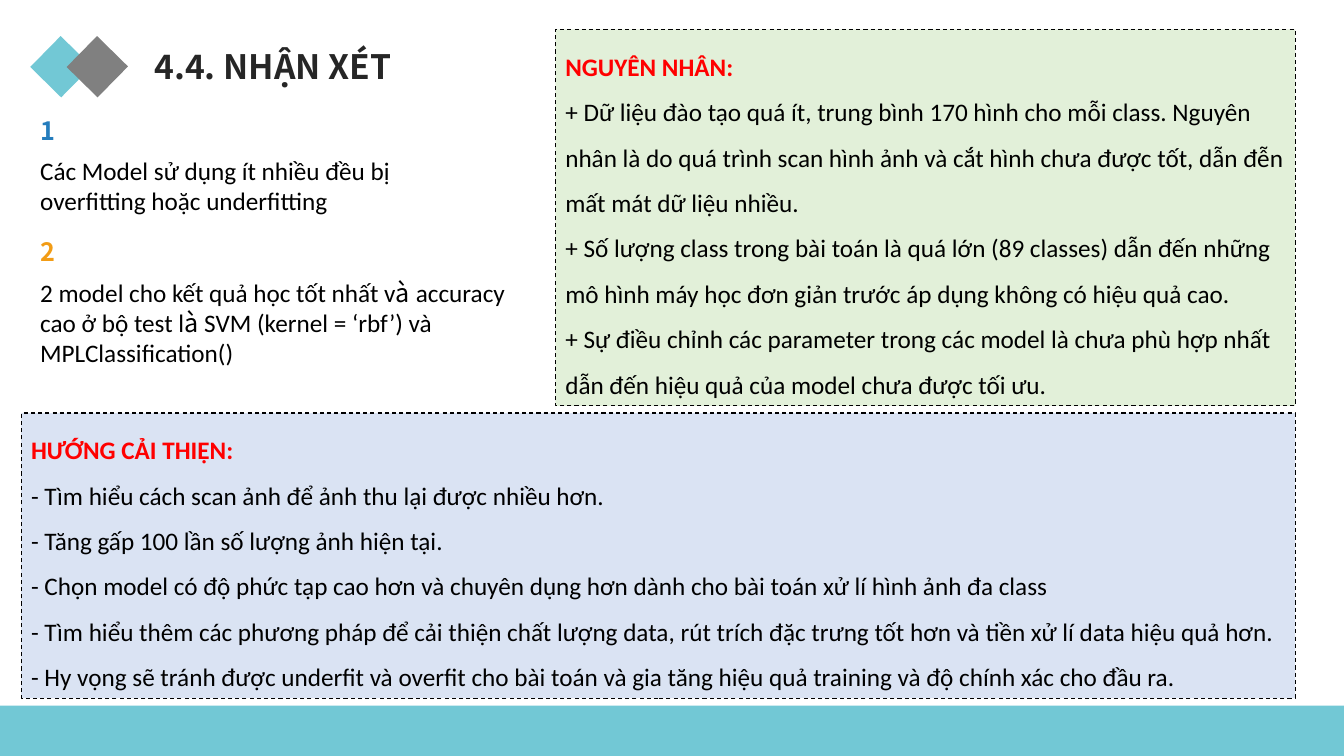
"""Build the remarks slide with its findings, causes and improvements."""
from dataclasses import dataclass

from pptx import Presentation
from pptx.dml.color import RGBColor
from pptx.enum.dml import MSO_LINE
from pptx.enum.shapes import MSO_SHAPE
from pptx.enum.text import MSO_ANCHOR, MSO_AUTO_SIZE, PP_ALIGN
from pptx.shapes.autoshape import Shape
from pptx.slide import Slide
from pptx.text.text import TextFrame
from pptx.util import Pt

RECTANGLE = MSO_SHAPE.RECTANGLE
DASH = MSO_LINE.DASH
TOP, MIDDLE = MSO_ANCHOR.TOP, MSO_ANCHOR.MIDDLE
NO_AUTOFIT = MSO_AUTO_SIZE.NONE
LEFT = PP_ALIGN.LEFT
TITLE_ONLY = 5


@dataclass(frozen=True)
class Theme:
    """Colours, fonts and type sizes of the slide."""
    teal: str = "72C8D5"
    gray: str = "808080"
    black: str = "000000"
    title: str = "262626"
    heading: str = "FF0000"
    blue: str = "257DBD"
    orange: str = "F29C15"
    pale_green: str = "E2F0D9"
    pale_blue: str = "DAE3F3"
    body_font: str = "Calibri"
    display_font: str = "Noto Sans CJK SC"
    body_size: float = 18
    title_size: float = 24


THEME = Theme()


@dataclass(frozen=True)
class Box:
    """A rectangle in points."""
    left: float
    top: float
    width: float
    height: float


@dataclass(frozen=True)
class TextRun:
    """A stretch of text with one format."""
    text: str
    color: str = THEME.black
    font: str = THEME.body_font
    size: float = THEME.body_size
    bold: bool = False


@dataclass(frozen=True)
class Block:
    """A plain filled rectangle."""
    box: Box
    color: str
    rotation: float = 0


@dataclass(frozen=True)
class Panel:
    """A dashed box with a heading and its points."""
    box: Box
    color: str
    heading: str
    points: tuple[str, ...]


@dataclass(frozen=True)
class Finding:
    """A numbered remark."""
    number: str
    color: str
    top: float
    width: float
    height: float
    runs: tuple[TextRun, ...]


BLOCKS = (
    Block(Box(0, 504, 960, 36), THEME.teal),
    Block(Box(28, 32.2, 31, 31), THEME.teal, 44.5),
    Block(Box(54, 32.2, 31, 31), THEME.gray, 44.5),
)
PANELS = (
    Panel(Box(15.1, 295, 910, 203.6), THEME.pale_blue, "HƯỚNG CẢI THIỆN:", (
        "- Tìm hiểu cách scan ảnh để ảnh thu lại được nhiều hơn.",
        "- Tăng gấp 100 lần số lượng ảnh hiện tại.",
        "- Chọn model có độ phức tạp cao hơn và chuyên dụng hơn dành cho bài toán xử lí hình ảnh đa class",
        "- Tìm hiểu thêm các phương pháp để cải thiện chất lượng data, rút trích đặc trưng tốt hơn "
        "và tiền xử lí data hiệu quả hơn.",
        "- Hy vọng sẽ tránh được underfit và overfit cho bài toán và gia tăng hiệu quả training "
        "và độ chính xác cho đầu ra.",
    )),
    Panel(Box(396.7, 21, 528.4, 269), THEME.pale_green, "NGUYÊN NHÂN:", (
        "+ Dữ liệu đào tạo quá ít, trung bình 170 hình cho mỗi class. Nguyên nhân là do quá trình "
        "scan hình ảnh và cắt hình chưa được tốt, dẫn đễn mất mát dữ liệu nhiều.",
        "+ Số lượng class trong bài toán là quá lớn (89 classes) dẫn đến những mô hình máy học "
        "đơn giản trước áp dụng không có hiệu quả cao.",
        "+ Sự điều chỉnh các parameter trong các model là chưa phù hợp nhất dẫn đến hiệu quả "
        "của model chưa được tối ưu.",
    )),
)
FINDINGS = (
    Finding("1", THEME.blue, 78.5, 277, 51, (
        TextRun("Các Model sử dụng ít nhiều đều bị overfitting hoặc underfitting"),
    )),
    Finding("2", THEME.orange, 165.6, 348, 72.7, (
        TextRun("2 model cho kết quả học tốt nhất v"),
        TextRun("à", font=THEME.display_font),
        TextRun(" accuracy cao ở bộ test l"),
        TextRun("à ", font=THEME.display_font),
        TextRun("SVM (kernel = ‘rbf’) và MPLClassification()"),
    )),
)
TITLE = TextRun("4.4. NHẬN XÉT", THEME.title, THEME.display_font, THEME.title_size, True)
TITLE_BOX = Box(103, 29.5, 258, 36)
FINDING_LEFT, NUMBER_HEIGHT = 21.6, 28.8


def lengths(box: Box) -> tuple[Pt, Pt, Pt, Pt]:
    """Return the sides of a box as lengths."""
    return Pt(box.left), Pt(box.top), Pt(box.width), Pt(box.height)


def apply_format(target: object, values: dict[str, object]) -> None:
    """Set each named attribute on the target."""
    for name, value in values.items():
        setattr(target, name, value)


def write_text(frame: TextFrame, paragraphs: list[tuple[TextRun, ...]],
               anchor: MSO_ANCHOR = TOP, spacing: float = 1.0) -> None:
    """Fill a text frame with formatted paragraphs."""
    apply_format(frame, {"word_wrap": True, "auto_size": NO_AUTOFIT, "vertical_anchor": anchor})
    for index, runs in enumerate(paragraphs):
        paragraph = frame.add_paragraph() if index else frame.paragraphs[0]
        apply_format(paragraph, {"alignment": LEFT, "line_spacing": spacing})
        for text_run in runs:
            run = paragraph.add_run()
            run.text = text_run.text
            apply_format(run.font, {"name": text_run.font, "size": Pt(text_run.size), "bold": text_run.bold})
            run.font.color.rgb = RGBColor.from_string(text_run.color)


def add_block(slide: Slide, block: Block) -> Shape:
    """Add a filled rectangle without a line."""
    shape = slide.shapes.add_shape(RECTANGLE, *lengths(block.box))
    shape.rotation = block.rotation
    shape.shadow.inherit = False
    shape.fill.solid()
    shape.fill.fore_color.rgb = RGBColor.from_string(block.color)
    shape.line.fill.background()
    return shape


def add_panel(slide: Slide, panel: Panel) -> None:
    """Add a dashed box with its text."""
    shape = add_block(slide, Block(panel.box, panel.color))
    shape.line.color.rgb = RGBColor.from_string(THEME.black)
    apply_format(shape.line, {"width": Pt(0.75), "dash_style": DASH})
    heading = TextRun(panel.heading, THEME.heading, bold=True)
    write_text(shape.text_frame, [(heading,), *((TextRun(point),) for point in panel.points)], MIDDLE, 1.5)


def add_finding(slide: Slide, finding: Finding) -> None:
    """Add a number with its remark below."""
    number = TextRun(finding.number, finding.color, THEME.display_font, bold=True)
    number_box = Box(FINDING_LEFT, finding.top, finding.width, NUMBER_HEIGHT)
    remark_box = Box(FINDING_LEFT, finding.top + NUMBER_HEIGHT, finding.width, finding.height)
    for box, runs in ((number_box, (number,)), (remark_box, finding.runs)):
        write_text(slide.shapes.add_textbox(*lengths(box)).text_frame, [runs])


def main() -> None:
    """Create and save the presentation."""
    presentation = Presentation()
    apply_format(presentation, {"slide_width": Pt(960), "slide_height": Pt(540)})
    slide = presentation.slides.add_slide(presentation.slide_layouts[TITLE_ONLY])
    title = slide.shapes.title
    apply_format(title, dict(zip(("left", "top", "width", "height"), lengths(TITLE_BOX))))
    write_text(title.text_frame, [(TITLE,)])
    for block in BLOCKS:
        add_block(slide, block)
    for panel in PANELS:
        add_panel(slide, panel)
    for finding in FINDINGS:
        add_finding(slide, finding)
    presentation.save("out.pptx")


if __name__ == "__main__":
    main()
